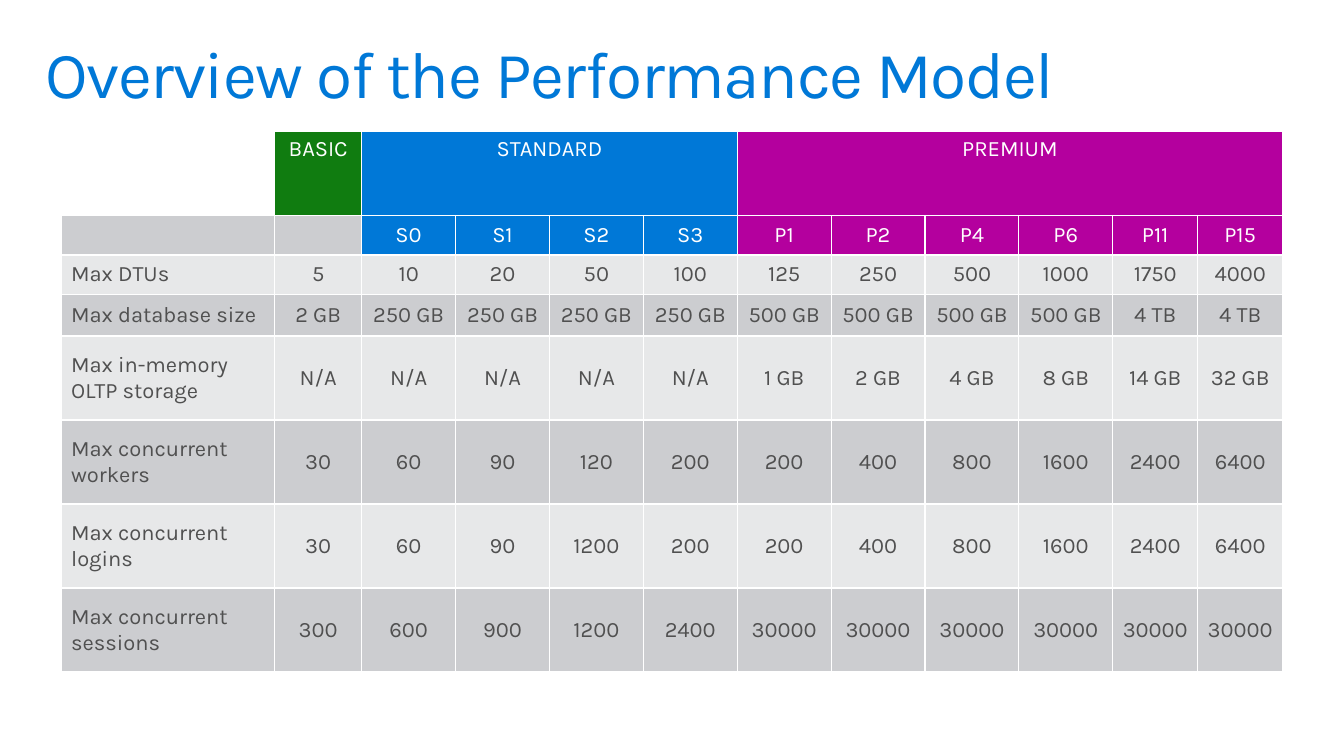
from dataclasses import dataclass

from lxml import etree
from pptx import Presentation
from pptx import util as u
from pptx.dml.color import RGBColor
from pptx.enum import text
from pptx.oxml.ns import qn


@dataclass(frozen=True)
class Theme:
    font: str = "Karla"
    title_size: int = 48
    cell_size: int = 16
    title: str = "0078D7"
    white: str = "FFFFFF"
    ink: str = "505050"
    basic: str = "107C10"
    standard: str = "0078D7"
    premium: str = "B4009E"
    bands: tuple = ("CCCDD0", "E7E8E9")


T = Theme()
SLIDE_W, SLIDE_H = 13.6, 7.65
TABLE_LEFT, TABLE_TOP = 0.62, 1.33
COL_WIDTHS = [2.16, 0.88] + [0.95] * 8 + [0.86] * 2
ROW_HEIGHTS = [0.85, 0.4, 0.4, 0.42] + [0.85] * 4

# Tier name, colour, first column, levels
TIERS = [
    ("BASIC", T.basic, 1, []),
    ("STANDARD", T.standard, 2, ["S0", "S1", "S2", "S3"]),
    ("PREMIUM", T.premium, 6, ["P1", "P2", "P4", "P6", "P11", "P15"]),
]
LIMITS = [
    ["Max DTUs", 5, 10, 20, 50, 100, 125, 250, 500, 1000, 1750, 4000],
    ["Max database size", "2 GB"] + ["250 GB"] * 4 + ["500 GB"] * 4 + ["4 TB"] * 2,
    ["Max in-memory OLTP storage"] + ["N/A"] * 5
    + ["1 GB", "2 GB", "4 GB", "8 GB", "14 GB", "32 GB"],
    ["Max concurrent workers", 30, 60, 90, 120, 200, 200, 400, 800, 1600, 2400, 6400],
    ["Max concurrent logins", 30, 60, 90, 1200, 200, 200, 400, 800, 1600, 2400, 6400],
    ["Max concurrent sessions", 300, 600, 900, 1200, 2400] + [30000] * 6,
]


def format_run(r, size, color):
    r.font.name = T.font
    r.font.size = u.Pt(size)
    r.font.color.rgb = RGBColor.from_string(color)


def add_title(s, title):
    sp = s.shapes.add_textbox(u.Inches(0.3), u.Inches(0.32), u.Inches(13), u.Inches(1))
    tf = sp.text_frame
    tf.word_wrap = True
    tf.margin_left = tf.margin_right = u.Inches(0.16)
    tf.margin_top = tf.margin_bottom = u.Inches(0.1)
    tf.text = title
    p = tf.paragraphs[0]
    p.line_spacing = 0.9
    r = p.runs[0]
    format_run(r, T.title_size, T.title)
    r.font._element.set("spc", "-100")


def add_borders(cell):
    """Put white one-point lines on all sides; call before setting the fill."""
    tc_pr = cell._tc.get_or_add_tcPr()
    for side in ("a:lnL", "a:lnR", "a:lnT", "a:lnB"):
        ln = etree.SubElement(tc_pr, qn(side), w=str(u.Pt(1)))
        solid = etree.SubElement(ln, qn("a:solidFill"))
        etree.SubElement(solid, qn("a:srgbClr"), val=T.white)


def fill_cell(cell, color):
    cell.fill.solid()
    cell.fill.fore_color.rgb = RGBColor.from_string(color)


def write_cell(cell, value, color, align=text.PP_ALIGN.CENTER):
    cell.text_frame.text = str(value)
    p = cell.text_frame.paragraphs[0]
    p.alignment = align
    format_run(p.runs[0], T.cell_size, color)


def add_grid(s):
    """Add the bordered table with banded rows below a clear heading row."""
    frame = s.shapes.add_table(
        len(ROW_HEIGHTS), len(COL_WIDTHS), u.Inches(TABLE_LEFT), u.Inches(TABLE_TOP),
        u.Inches(sum(COL_WIDTHS)), u.Inches(sum(ROW_HEIGHTS)))
    table = frame.table
    table.first_row = table.horz_banding = False
    for column, width in zip(table.columns, COL_WIDTHS):
        column.width = u.Inches(width)
    for i, (row, height) in enumerate(zip(table.rows, ROW_HEIGHTS)):
        row.height = u.Inches(height)
        for j, cell in enumerate(row.cells):
            add_borders(cell)
            if i == 0:
                cell.fill.background()
                continue
            fill_cell(cell, T.bands[(i - 1) % 2])
            cell.vertical_anchor = text.MSO_ANCHOR.MIDDLE
            cell.margin_top = cell.margin_bottom = u.Inches(0.03)
            if j > 0:
                cell.margin_left = cell.margin_right = u.Inches(0.05)
    return table


def write_tiers(table):
    for name, color, first, levels in TIERS:
        last = first + max(len(levels), 1) - 1
        for j in range(first, last + 1):
            fill_cell(table.cell(0, j), color)
        if last > first:
            table.cell(0, first).merge(table.cell(0, last))
        write_cell(table.cell(0, first), name, T.white)
        for j, level in enumerate(levels, first):
            fill_cell(table.cell(1, j), color)
            write_cell(table.cell(1, j), level, T.white)


def write_limits(table):
    for i, (label, *values) in enumerate(LIMITS, 2):
        write_cell(table.cell(i, 0), label, T.ink, text.PP_ALIGN.LEFT)
        for j, value in enumerate(values, 1):
            write_cell(table.cell(i, j), value, T.ink)


def main():
    prs = Presentation()
    prs.slide_width, prs.slide_height = u.Inches(SLIDE_W), u.Inches(SLIDE_H)
    s = prs.slides.add_slide(prs.slide_layouts[6])
    add_title(s, "Overview of the Performance Model")
    table = add_grid(s)
    write_tiers(table)
    write_limits(table)
    prs.save("out.pptx")


if __name__ == "__main__":
    main()
